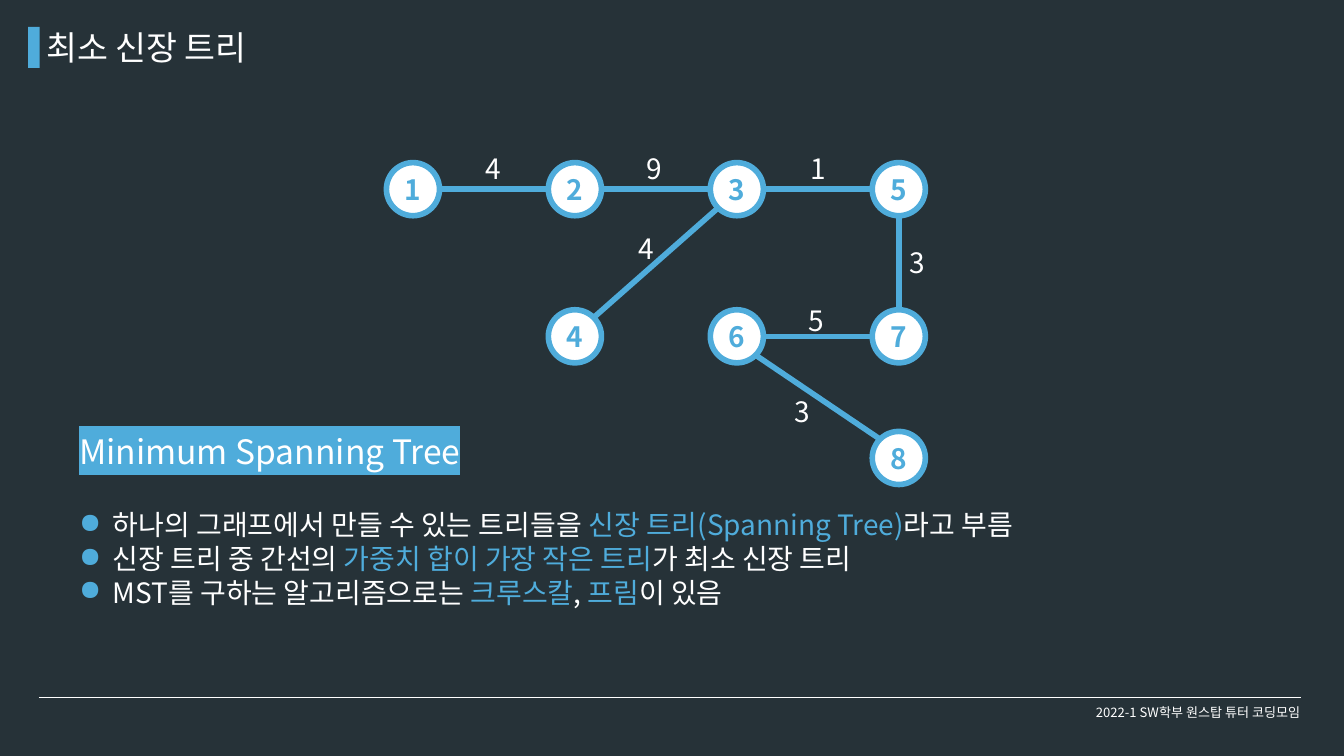
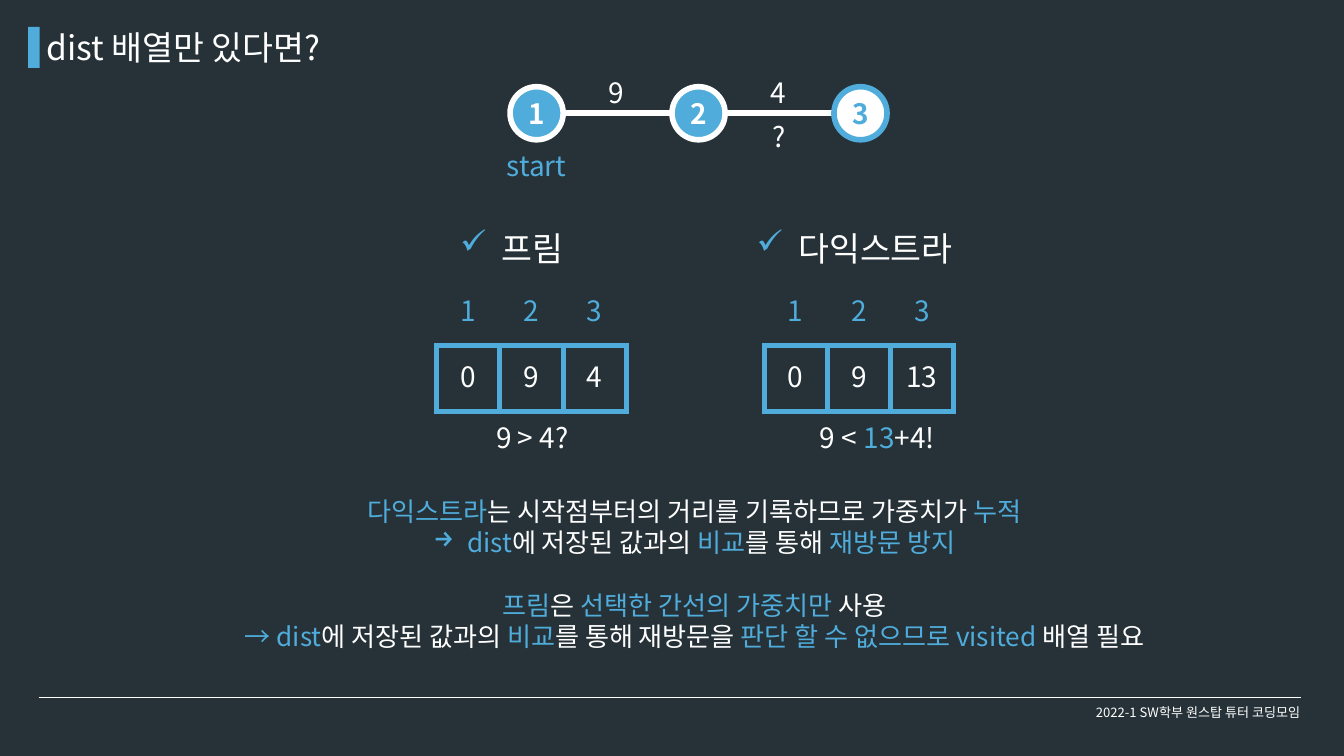
from itertools import cycle
from math import sqrt

from lxml import etree
from pptx import Presentation
from pptx import util as u
from pptx.dml.color import RGBColor
from pptx.enum import shapes, text
from pptx.oxml import ns

COLORS = {"back": "263238", "accent": "4FACDB", "white": "FFFFFF"}
FONT = "Noto Sans CJK KR"
LINE_HEIGHT = 1.2
CENTER = text.PP_ALIGN.CENTER
MIDDLE = text.MSO_ANCHOR.MIDDLE
PLAIN_TABLE = "{2D5ABB26-0587-4C30-8999-92F81FD0307C}"
FOOTER = "2022-1 SW학부 원스탑 튜터 코딩모임"

NODE = 0.79     # diameter of a graph node
STEP = 2.41     # distance between node columns
CELL_W, CELL_H = 0.94, 0.98


def rgb(name):
    return RGBColor.from_string(COLORS[name])


def add_xml(parent, tag, **attributes):
    return etree.SubElement(parent, ns.qn(tag), attributes)


def add_color(parent, name):
    add_xml(parent, "a:srgbClr", val=COLORS[name])


def write(frame, content, size=30, color="white", align=None, bold=False,
          highlight=None, bullet=None, bullet_color=None, indent=0.5,
          before=0, new=False):
    """Write one paragraph; each | switches between white and accent."""
    para = frame.add_paragraph() if new else frame.paragraphs[0]
    para.alignment = align
    para.line_spacing = u.Pt(size * LINE_HEIGHT)
    para.space_before = u.Pt(before)
    other = "white" if color == "accent" else "accent"
    for part, tint in zip(content.split("|"), cycle([color, other])):
        if not part:
            continue
        span = para.add_run()
        span.text = part
        span.font.size = u.Pt(size)
        span.font.bold = bold
        span.font.color.rgb = rgb(tint)
        span.font.name = FONT
        latin = span.font._element.find(ns.qn("a:latin"))
        east = etree.Element(ns.qn("a:ea"), typeface=FONT)
        latin.addnext(east)
        if highlight:
            marker = etree.Element(ns.qn("a:highlight"))
            add_color(marker, highlight)
            latin.addprevious(marker)
    if bullet:
        props = para._p.get_or_add_pPr()
        props.set("marL", str(u.Inches(indent)))
        props.set("indent", str(-u.Inches(indent)))
        if bullet_color:
            add_color(add_xml(props, "a:buClr"), bullet_color)
        add_xml(props, "a:buChar", char=bullet)


class Builder:
    def __init__(self):
        self.deck = Presentation()
        self.deck.slide_width = u.Inches(20)
        self.deck.slide_height = u.Inches(11.25)
        back = self.deck.slide_master.background.fill
        back.solid()
        back.fore_color.rgb = rgb("back")
        self.page = None

    def new_page(self, title):
        self.page = self.deck.slides.add_slide(self.deck.slide_layouts[6])
        self.line((0.58, 10.38), (19.36, 10.38), "white", 0.75)
        self.shape(shapes.MSO_SHAPE.RECTANGLE, 0.42, 0.4, 0.17, 0.61, "accent")
        self.label(FOOTER, 15.83, 10.31, 4, 0.57, size=14, align=CENTER,
                   grow=False)
        self.label(title, 0.59, 0.35, 9.5, 0.71, size=36)

    def shape(self, kind, left, top, width, height, fill, edge=None):
        shape = self.page.shapes.add_shape(
            kind, *map(u.Inches, (left, top, width, height)))
        shape.shadow.inherit = False
        shape.fill.solid()
        shape.fill.fore_color.rgb = rgb(fill)
        if edge:
            shape.line.color.rgb = rgb(edge)
            shape.line.width = u.Pt(6)
        else:
            shape.line.fill.background()
        return shape

    def line(self, start, end, color="accent", width=6):
        line = self.page.shapes.add_connector(
            shapes.MSO_CONNECTOR.STRAIGHT, *map(u.Inches, (*start, *end)))
        line.line.color.rgb = rgb(color)
        line.line.width = u.Pt(width)
        add_xml(line._element.spPr, "a:effectLst")

    def box(self, left, top, width, height, wrap=True, grow=True):
        box = self.page.shapes.add_textbox(
            *map(u.Inches, (left, top, width, height)))
        frame = box.text_frame
        frame.word_wrap = wrap
        if grow:
            frame.auto_size = text.MSO_AUTO_SIZE.SHAPE_TO_FIT_TEXT
        else:
            frame.vertical_anchor = MIDDLE
        return frame

    def label(self, content, left, top, width, height, wrap=True, grow=True,
              **style):
        write(self.box(left, top, width, height, wrap, grow), content, **style)

    def weight(self, content, left, top):
        self.label(content, left, top, 0.46, 0.61, wrap=False)

    def node(self, name, left, top, fill="white", ink="accent"):
        node = self.shape(shapes.MSO_SHAPE.OVAL, left, top, NODE, NODE,
                          fill, ink)
        frame = node.text_frame
        frame.vertical_anchor = MIDDLE
        frame.word_wrap = False
        write(frame, name, color=ink, align=CENTER, bold=True)

    def edge(self, first, second, color="accent"):
        """Join the rims of two nodes given by their left top corners."""
        signs = [(b > a) - (b < a) for a, b in zip(first, second)]
        reach = NODE / 2 / sqrt(sum(map(abs, signs)))
        start = [a + NODE / 2 + reach * s for a, s in zip(first, signs)]
        end = [b + NODE / 2 - reach * s for b, s in zip(second, signs)]
        self.line(start, end, color)

    def row(self, values, left, top, color="white", border=None):
        area = (left, top, CELL_W * len(values), CELL_H)
        table = self.page.shapes.add_table(
            1, len(values), *map(u.Inches, area)).table
        table.first_row = table.horz_banding = False
        table._tbl.tblPr.find(ns.qn("a:tableStyleId")).text = PLAIN_TABLE
        for column, value in enumerate(values):
            table.columns[column].width = u.Inches(CELL_W)
            cell = table.cell(0, column)
            cell.vertical_anchor = MIDDLE
            write(cell.text_frame, value, color=color, align=CENTER)
            if border:
                for side in ("a:lnL", "a:lnR", "a:lnT", "a:lnB"):
                    rim = add_xml(cell._tc.get_or_add_tcPr(), side,
                                  w=str(u.Pt(6)))
                    add_color(add_xml(rim, "a:solidFill"), border)
            cell.fill.background()


def spanning_tree(builder):
    builder.new_page("최소 신장 트리")

    # Heading and explanation
    builder.label("Minimum Spanning Tree", 1.08, 6.37, 6.33, 0.71, size=36,
                  highlight="accent")
    points = [
        "하나의 그래프에서 만들 수 있는 트리들을 |신장 트리(Spanning Tree)|라고 부름",
        "신장 트리 중 간선의 |가중치 합이 가장 작은 트리|가 최소 신장 트리",
        "MST를 구하는 알고리즘으로는 |크루스칼|, |프림|이 있음",
    ]
    frame = builder.box(1.08, 7.51, 17.08, 1.62)
    for index, point in enumerate(points):
        write(frame, point, bullet="●", bullet_color="accent", new=index > 0)

    # Graph: node name -> column and row
    rows = (2.42, 4.61, 6.42)
    grid = {"1": (0, 0), "2": (1, 0), "3": (2, 0), "5": (3, 0),
            "4": (1, 1), "6": (2, 1), "7": (3, 1), "8": (3, 2)}
    places = {name: (5.75 + STEP * column, rows[row])
              for name, (column, row) in grid.items()}
    edges = [("1", "2", "4", 7.12, 2.21), ("2", "3", "9", 9.53, 2.21),
             ("3", "5", "1", 11.96, 2.21), ("3", "4", "4", 9.41, 3.4),
             ("5", "7", "3", 13.44, 3.61), ("6", "7", "5", 11.94, 4.46),
             ("6", "8", "3", 11.73, 5.82)]
    for first, second, cost, left, top in edges:
        builder.edge(places[first], places[second])
        builder.weight(cost, left, top)
    for name, place in places.items():
        builder.node(name, *place)


def dist_array(builder):
    builder.new_page("dist 배열만 있다면?")

    # Graph
    places = [(7.59 + STEP * column, 1.29) for column in range(3)]
    for index, cost in enumerate(("9", "4")):
        builder.edge(places[index], places[index + 1], "white")
        builder.weight(cost, 8.96 + STEP * index, 1.08)
    for name, place, fill, ink in zip("123", places,
                                      ("accent", "accent", "white"),
                                      ("white", "white", "accent")):
        builder.node(name, *place, fill, ink)
    builder.label("start", 7.04, 2.16, 1.89, 0.61, color="accent",
                  align=CENTER)
    builder.weight("?", 11.39, 1.73)

    # The two algorithms side by side
    for name, name_left, left, values in (
            ("프림", 6.75, 6.5, ("0", "9", "4")),
            ("다익스트라", 11.16, 11.37, ("0", "9", "13"))):
        builder.label(name, name_left, 3.34, 3.58, 0.71, size=36, bullet="✓",
                      bullet_color="accent", indent=0.62)
        builder.row("123", left, 4.17, color="accent")
        builder.row(values, left, 5.14, border="accent")
    builder.label("9 > 4?", 7.11, 6.21, 1.62, 0.61, align=CENTER)
    builder.label("9 < |13|+4!", 11.84, 6.21, 2.43, 0.61, align=CENTER)

    # Conclusion
    frame = builder.box(3.17, 7.32, 14.33, 2.46)
    style = {"size": 28, "color": "accent", "align": CENTER}
    write(frame, "다익스트라|는 시작점부터의 거리를 기록하므로 가중치가 |누적", **style)
    write(frame, "dist|에 저장된 값과의 |비교|를 통해 |재방문 방지", new=True,
          bullet="→", bullet_color="accent", **style)
    write(frame, "프림|은| 선택한 간선의 가중치만 |사용", new=True,
          before=28 * LINE_HEIGHT, **style)
    write(frame, "→ dist|에 저장된 값과의 |비교|를 통해 재방문을 |"
          "판단 할 수 없으므로 visited |배열 필요", new=True, **style)


def main():
    builder = Builder()
    spanning_tree(builder)
    dist_array(builder)
    builder.deck.save("out.pptx")


if __name__ == "__main__":
    main()
